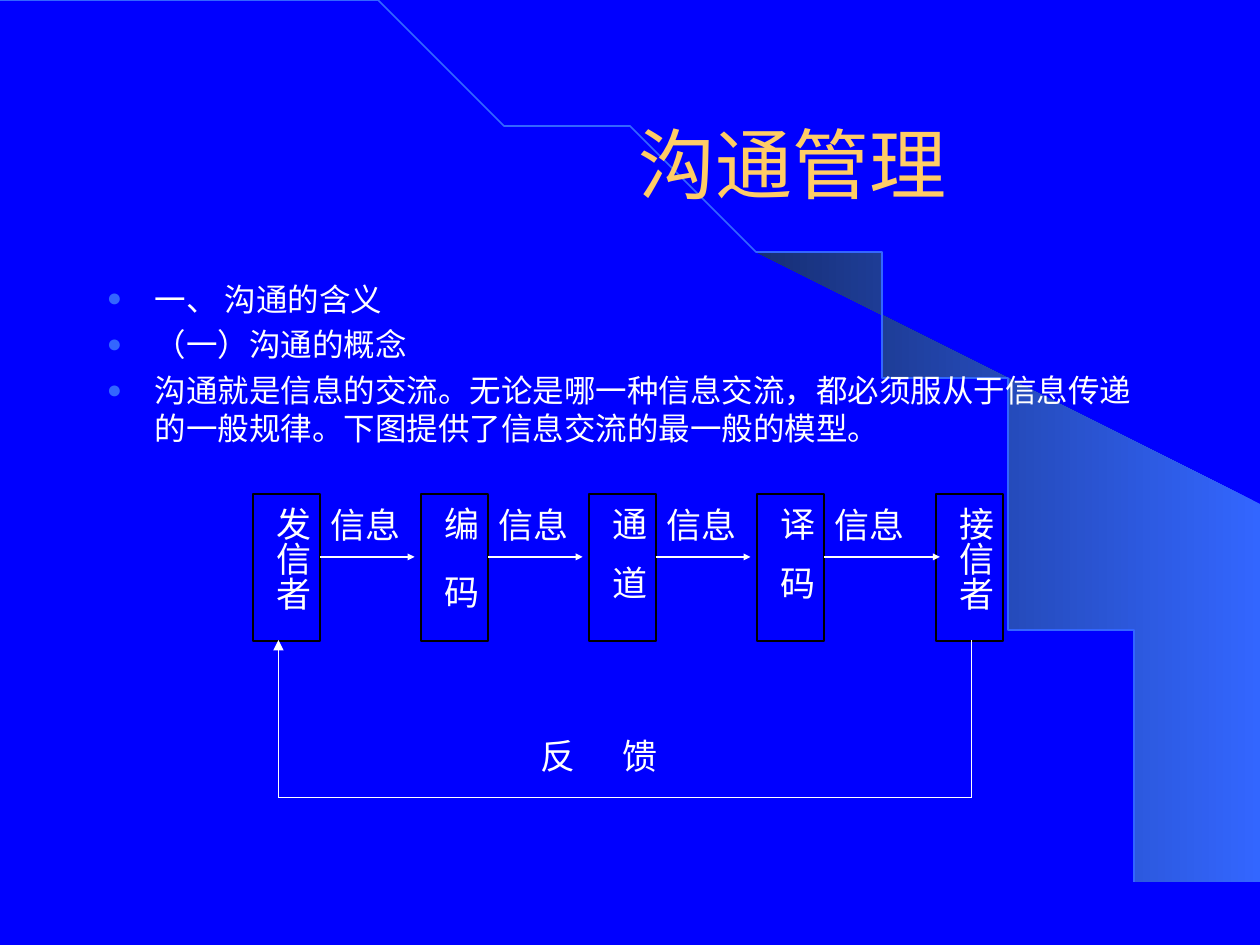
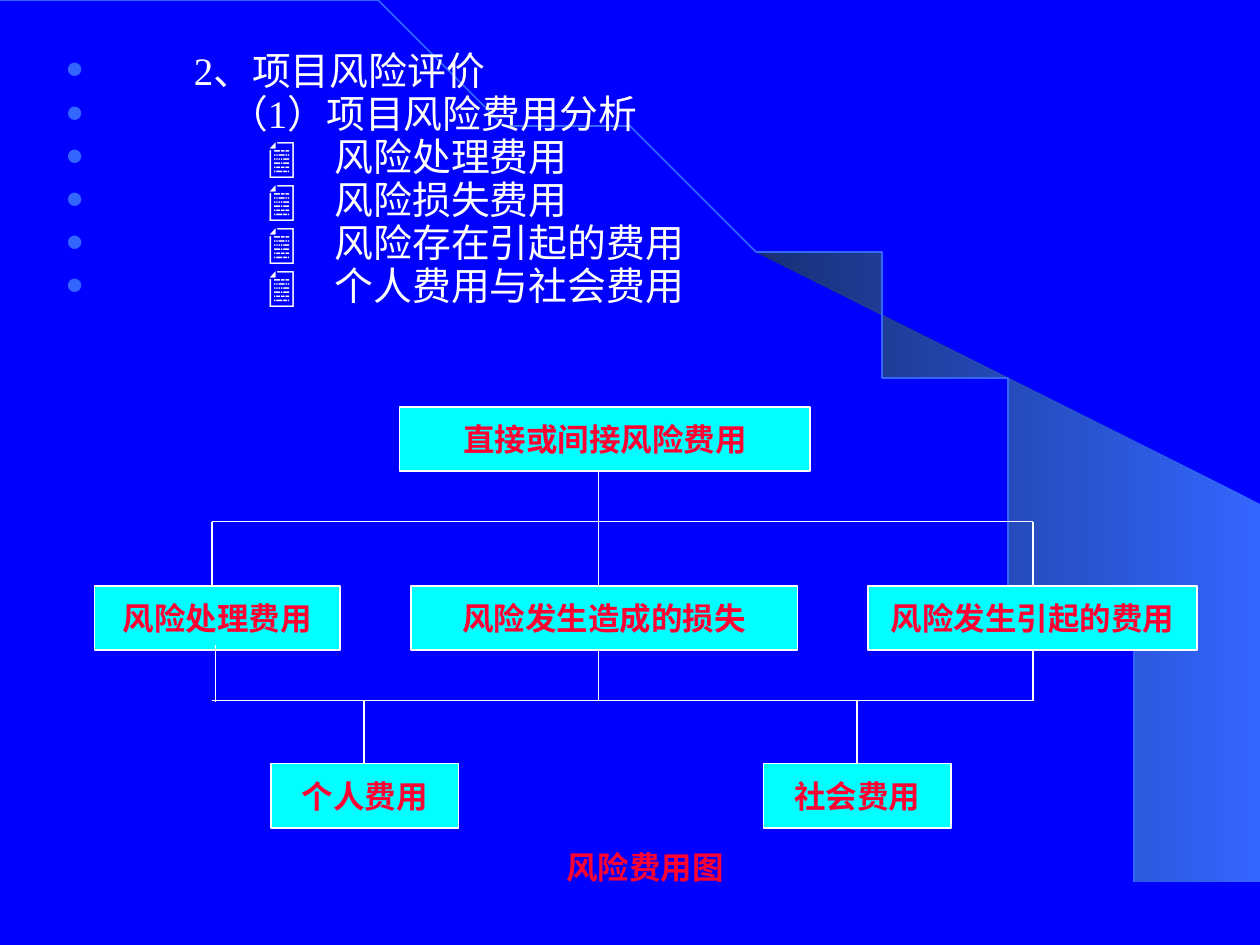
import math

from lxml import etree
from pptx import Presentation
from pptx.dml.color import RGBColor
from pptx.enum.shapes import MSO_CONNECTOR, MSO_SHAPE
from pptx.enum.text import MSO_ANCHOR, PP_ALIGN
from pptx.oxml.ns import qn
from pptx.util import Inches, Pt

RECTANGLE = MSO_SHAPE.RECTANGLE
STRAIGHT = MSO_CONNECTOR.STRAIGHT
CENTER = PP_ALIGN.CENTER
LEFT = PP_ALIGN.LEFT
TOP = MSO_ANCHOR.TOP
MIDDLE = MSO_ANCHOR.MIDDLE

BLUE = RGBColor(0x00, 0x00, 0xFF)
ACCENT = RGBColor(0x33, 0x66, 0xFF)
NAVY = RGBColor(0x17, 0x2F, 0x75)
GOLD = RGBColor(0xFF, 0xCC, 0x66)
WHITE = RGBColor(0xFF, 0xFF, 0xFF)
BLACK = RGBColor(0x00, 0x00, 0x00)
CYAN = RGBColor(0x00, 0xFF, 0xFF)
RED = RGBColor(0xFF, 0x00, 0x33)

SERIF = "Times New Roman"
ICON_FONT = "Lato"
TITLE_FONT = "Arial"
ICON = "📄"


# Shared helpers
def add_run(paragraph, text, size, color=WHITE, font=SERIF, bold=False, tracking=0):
    run = paragraph.add_run()
    run.text = text
    run.font.size = Pt(size)
    run.font.name = font
    run.font.bold = bold
    run.font.color.rgb = color
    if tracking:
        run.font._element.set("spc", str(tracking * 100))


def set_frame(frame, horizontal, vertical, anchor=TOP, wrap=True):
    frame.margin_left = frame.margin_right = Inches(horizontal)
    frame.margin_top = frame.margin_bottom = Inches(vertical)
    frame.vertical_anchor = anchor
    frame.word_wrap = wrap


def add_text_box(slide, left, top, width, height, horizontal=0.1, vertical=0.05):
    box = slide.shapes.add_textbox(
        Inches(left), Inches(top), Inches(width), Inches(height))
    set_frame(box.text_frame, horizontal, vertical)
    return box.text_frame


def add_box(slide, left, top, width, height, line_color, fill_color=None):
    box = slide.shapes.add_shape(
        RECTANGLE, Inches(left), Inches(top), Inches(width), Inches(height))
    box.shadow.inherit = False
    if fill_color is None:
        box.fill.background()
    else:
        box.fill.solid()
        box.fill.fore_color.rgb = fill_color
    box.line.color.rgb = line_color
    box.line.width = Pt(1)
    return box.text_frame


def add_line(slide, x1, y1, x2, y2, arrow=None):
    line = slide.shapes.add_connector(
        STRAIGHT, Inches(x1), Inches(y1), Inches(x2), Inches(y2))
    line.line.color.rgb = WHITE
    line.line.width = Pt(1)
    if arrow:
        etree.SubElement(line.line._get_or_add_ln(), qn("a:tailEnd"),
                         type="triangle", w=arrow, len=arrow)
    etree.SubElement(line.element.spPr, qn("a:effectLst"))


def add_bullets(frame, items, size, space_before, line_spacing=None):
    """Each item is (text indent in inches, [(text, font), ...])."""
    for index, (indent, parts) in enumerate(items):
        paragraph = frame.paragraphs[0] if index == 0 else frame.add_paragraph()
        properties = paragraph._p.get_or_add_pPr()
        properties.set("marL", str(Inches(indent)))
        properties.set("indent", str(-Inches(indent)))
        color = etree.SubElement(properties, qn("a:buClr"))
        etree.SubElement(color, qn("a:srgbClr"), val=str(ACCENT))
        etree.SubElement(properties, qn("a:buSzPct"), val="80000")
        etree.SubElement(properties, qn("a:buFont"), typeface=SERIF)
        etree.SubElement(properties, qn("a:buChar"), char="●")
        if index:
            paragraph.space_before = Pt(space_before)
        if line_spacing:
            paragraph.line_spacing = line_spacing
        for text, font in parts:
            add_run(paragraph, text, size, font=font)


# Backdrop on the master: blue ground, shaded band and arc
def ellipse_points(start, end, steps=60):
    """Points of the arc from the top left to the bottom right, in inches."""
    angles = [math.radians(start + (end - start) * i / steps)
              for i in range(steps + 1)]
    return [(9.2 * math.sin(a), 7.49 * (1 - math.cos(a))) for a in angles]


def add_outline(slide, points, close):
    builder = slide.shapes.build_freeform(*points[0], scale=Inches(1))
    builder.add_line_segments(points[1:], close=close)
    shape = builder.convert_to_shape()
    shape.shadow.inherit = False
    return shape


def build_backdrop(master, slide):
    master.background.fill.solid()
    master.background.fill.fore_color.rgb = BLUE

    band = add_outline(
        slide, ellipse_points(39.8, 90) + [(9.99, 7.49), (9.99, 4.23)], True)
    band.fill.gradient()
    band.fill.gradient_angle = 180
    for stop, color, position in zip(band.fill.gradient_stops, (ACCENT, NAVY), (0, 1)):
        stop.color.rgb = color
        stop.position = position
    band.line.fill.background()

    arc = add_outline(slide, ellipse_points(0, 90), False)
    arc.fill.background()
    arc.line.color.rgb = ACCENT
    arc.line.width = Pt(1)

    for number, shape in enumerate((band, arc), 20):
        shape.element.nvSpPr.cNvPr.set("id", str(number))
        master.shapes.element.append(shape.element)


# Slide 1: communication
def set_title(slide, text, left, top, width, height, indent):
    title = slide.shapes.title
    title.left, title.top = Inches(left), Inches(top)
    title.width, title.height = Inches(width), Inches(height)
    set_frame(title.text_frame, 0.1, 0.05, MIDDLE)
    paragraph = title.text_frame.paragraphs[0]
    paragraph.alignment = CENTER
    paragraph._p.get_or_add_pPr().set("marL", str(Inches(indent)))
    add_run(paragraph, text, 44, GOLD, TITLE_FONT)


def add_label(slide, text, left, top, width, tracking=0):
    frame = add_text_box(slide, left, top, width, 0.33, 0, 0)
    for character in (text if tracking else [text]):
        add_run(frame.paragraphs[0], character, 20,
                tracking=tracking if character != text[-1] else 0)


def build_message_flow(slide, left, top):
    box_width, box_height, step, last = 0.53, 1.17, 4 / 3, 5.42
    stages = [("发信者", 0), ("编码", 19), ("通道", 14), ("译码", 14), ("接信者", 0)]
    offsets = [step * i for i in range(4)] + [last]
    for (text, tracking), offset in zip(stages, offsets):
        frame = add_box(slide, left + offset, top, box_width, box_height, BLACK)
        set_frame(frame, 0.05, 0.1)
        frame._txBody.bodyPr.set("vert", "eaVert")
        paragraph = frame.paragraphs[0]
        paragraph.alignment = LEFT
        if tracking:
            add_run(paragraph, text[0], 20, tracking=tracking)
            text = text[1:]
        add_run(paragraph, text, 20)

    # Messages between the stages
    for offset, length in zip(offsets, (0.75, 0.75, 0.75, 0.92)):
        start = left + offset + box_width
        add_line(slide, start, top + 0.5, start + length, top + 0.5, "sm")
        add_label(slide, "信息", start + 0.08, top + 0.08, 0.58)

    # Feedback loop
    receiver, sender = left + 5.7, left + 0.2
    near, far = top + 1.16, top + 2.41
    add_line(slide, receiver, near, receiver, far)
    add_line(slide, receiver, far, sender, far)
    add_line(slide, sender, far, sender, near, "med")
    add_label(slide, "反馈", left + 2.28, top + 1.91, 1, 27)


def build_communication_slide(slide):
    set_title(slide, "沟通管理", 0.75, 0.67, 8.5, 1.25, 2.58)
    lines = [
        "一、 沟通的含义",
        "（一）沟通的概念",
        "沟通就是信息的交流。无论是哪一种信息交流，都必须服从于信息传递的一般规律。"
        "下图提供了信息交流的最一般的模型。",
    ]
    frame = add_text_box(slide, 0.75, 2.17, 8.5, 1.5)
    add_bullets(frame, [(0.38, [(line, SERIF)]) for line in lines], 18, 4.5)
    build_message_flow(slide, 2.01, 3.92)


# Slide 2: risk costs
def build_cost_tree(slide, left, top):
    boxes = [
        ("直接或间接风险费用", 2.42, 0, 3.26),
        ("风险发生造成的损失", 2.51, 1.42, 3.07),
        ("风险处理费用", 0, 1.42, 1.95),
        ("风险发生引起的费用", 6.14, 1.42, 2.61),
        ("个人费用", 1.4, 2.83, 1.49),
        ("社会费用", 5.31, 2.83, 1.49),
    ]
    for text, x, y, width in boxes:
        frame = add_box(slide, left + x, top + y, width, 0.51, WHITE, CYAN)
        set_frame(frame, 0, 0, MIDDLE, wrap=False)
        frame.paragraphs[0].alignment = CENTER
        add_run(frame.paragraphs[0], text, 18, RED, bold=True)

    first, middle, last = 0.93, 4, 7.45
    upper, lower = 0.91, 2.33
    branches = [
        (first, upper, last, upper), (first, upper, first, 1.42),
        (last, upper, last, 1.42), (middle, 0.51, middle, 1.42),
        (first, lower, last, lower), (middle, lower, middle, 1.92),
        (last, lower, last, 1.92), (0.96, 1.89, 0.96, 2.34),
        (2.14, 2.83, 2.14, lower), (6.05, 2.83, 6.05, lower),
    ]
    for x1, y1, x2, y2 in branches:
        add_line(slide, left + x1, top + y1, left + x2, top + y2)

    caption = add_text_box(slide, left + 2.69, top + 3.45, 3.36, 0.4)
    caption.paragraphs[0].alignment = CENTER
    add_run(caption.paragraphs[0], "风险费用图", 18, RED, bold=True)


def build_risk_slide(slide):
    costs = ["风险处理费用", "风险损失费用", "风险存在引起的费用", "个人费用与社会费用"]
    items = [
        (1.02, [("2、项目风险评价", SERIF)]),
        (1.3, [("（1）项目风险费用分析", SERIF)]),
    ]
    items += [(1.61, [(ICON, ICON_FONT), ("　" + cost, SERIF)]) for cost in costs]
    frame = add_text_box(slide, 0.42, 0.42, 7.92, 2.17)
    add_bullets(frame, items, 22.2, 6, 0.7)
    build_cost_tree(slide, 0.75, 3.23)


def main():
    presentation = Presentation()
    presentation.slide_width = Inches(10)
    presentation.slide_height = Inches(7.5)
    title_only, blank = presentation.slide_layouts[5], presentation.slide_layouts[6]

    communication = presentation.slides.add_slide(title_only)
    build_backdrop(presentation.slide_master, communication)
    build_communication_slide(communication)
    build_risk_slide(presentation.slides.add_slide(blank))
    presentation.save("out.pptx")


if __name__ == "__main__":
    main()
